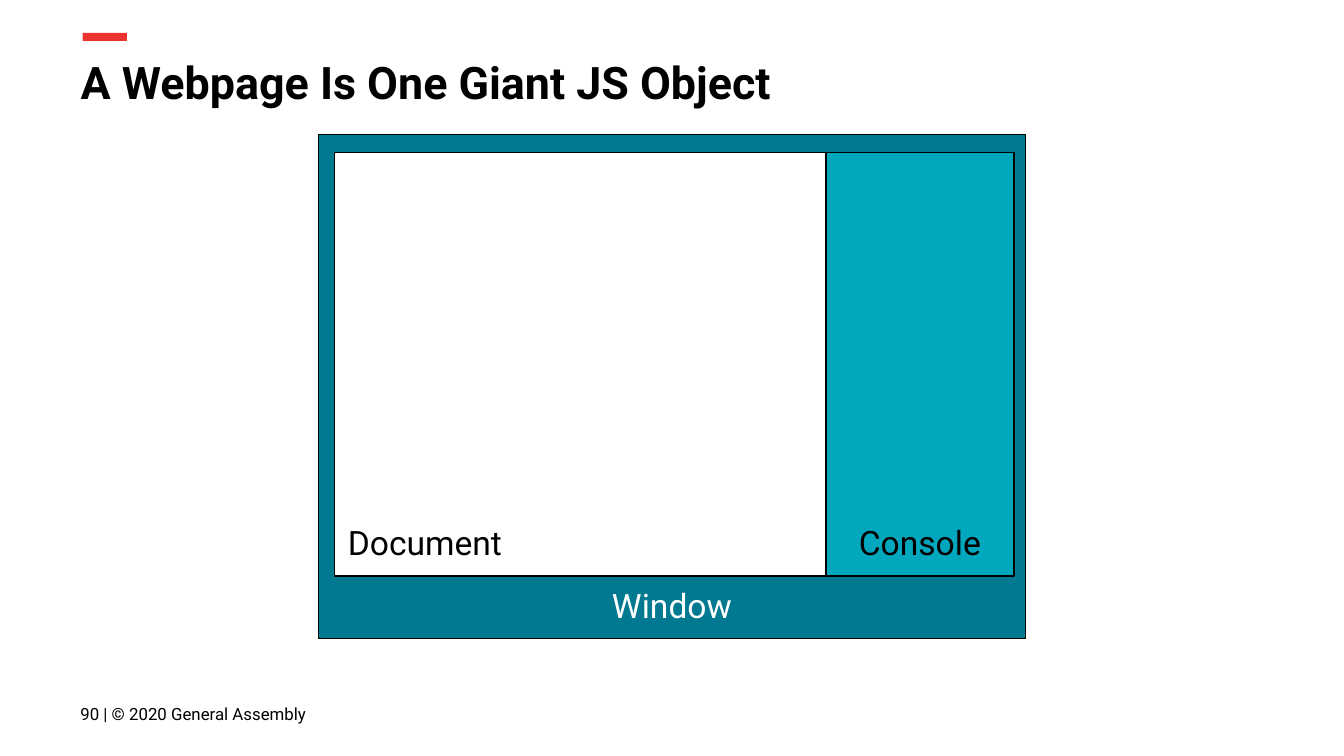
import pptx
import pptx.util
import pptx.dml.color
import pptx.enum.shapes
import pptx.enum.text

PX = 4572  # 200 px to the inch
FONT = "Roboto"
INK = {"red": "ED332F", "dark": "017991", "teal": "00A7BD",
       "black": "000000", "white": "FFFFFF"}
ALIGN = pptx.enum.text.PP_ALIGN
ANCHOR = pptx.enum.text.MSO_ANCHOR


def tint(name):
    return pptx.dml.color.RGBColor.from_string(INK[name])


def place(shape, box):
    shape.left, shape.top, shape.width, shape.height = [n * PX for n in box]


def write(shape, text, size, ink="black", align=ALIGN.LEFT,
          anchor=ANCHOR.MIDDLE, bold=False):
    frame = shape.text_frame
    frame.word_wrap = True
    frame.auto_size = pptx.enum.text.MSO_AUTO_SIZE.NONE
    frame.vertical_anchor = anchor
    frame.margin_left = frame.margin_right = 20 * PX
    frame.margin_top = frame.margin_bottom = 20 * PX
    para = frame.paragraphs[0]
    para.alignment = align
    run = para.add_run()
    run.text = text
    font = run.font
    font.name, font.size, font.bold = FONT, pptx.util.Pt(size), bold
    font.color.rgb = tint(ink)


def add_rect(slide, box, fill, edge=None):
    rect = slide.shapes.add_shape(
        pptx.enum.shapes.MSO_SHAPE.RECTANGLE, *[n * PX for n in box])
    rect.shadow.inherit = False
    rect.fill.solid()
    rect.fill.fore_color.rgb = tint(fill)
    if edge:
        rect.line.color.rgb = tint(edge)
        rect.line.width = pptx.util.Pt(0.75)
    else:
        rect.line.fill.background()
    return rect


def add_pane(slide, box, label, fill, ink="black", align=ALIGN.CENTER):
    """Outlined rectangle with its label at the bottom."""
    pane = add_rect(slide, box, fill, "black")
    write(pane, label, 18, ink, align, ANCHOR.BOTTOM)


def add_head(slide, box, text):
    """Title with the short red bar above it."""
    left, top, wide, high = box
    add_rect(slide, (left + 23, top - 13, 66, 12), "red")
    place(slide.shapes.title, box)
    write(slide.shapes.title, text, 24, anchor=ANCHOR.TOP, bold=True)


def add_window(slide, box):
    """Browser window holding the document and the console."""
    left, top, wide, high = box
    split, depth = 731, 630
    add_pane(slide, box, "Window", "dark", "white")
    x, y = left + 24, top + 27
    add_pane(slide, (x, y, split, depth), "Document", "white",
             align=ALIGN.LEFT)
    add_pane(slide, (x + split, y, 280, depth), "Console", "teal")


def add_foot(slide, box, text):
    foot = slide.shapes.add_textbox(*[n * PX for n in box])
    write(foot, text, 9)


def main():
    deck = pptx.Presentation()
    deck.slide_width, deck.slide_height = 2000 * PX, 1125 * PX
    slide = deck.slides.add_slide(deck.slide_layouts.get_by_name("Title Only"))
    add_head(slide, (100, 62, 1864, 126), "A Webpage Is One Giant JS Object")
    add_window(slide, (474, 200, 1052, 750))
    add_foot(slide, (100, 1020, 518, 86), "90 | © 2020 General Assembly")
    deck.save("out.pptx")


if __name__ == "__main__":
    main()
